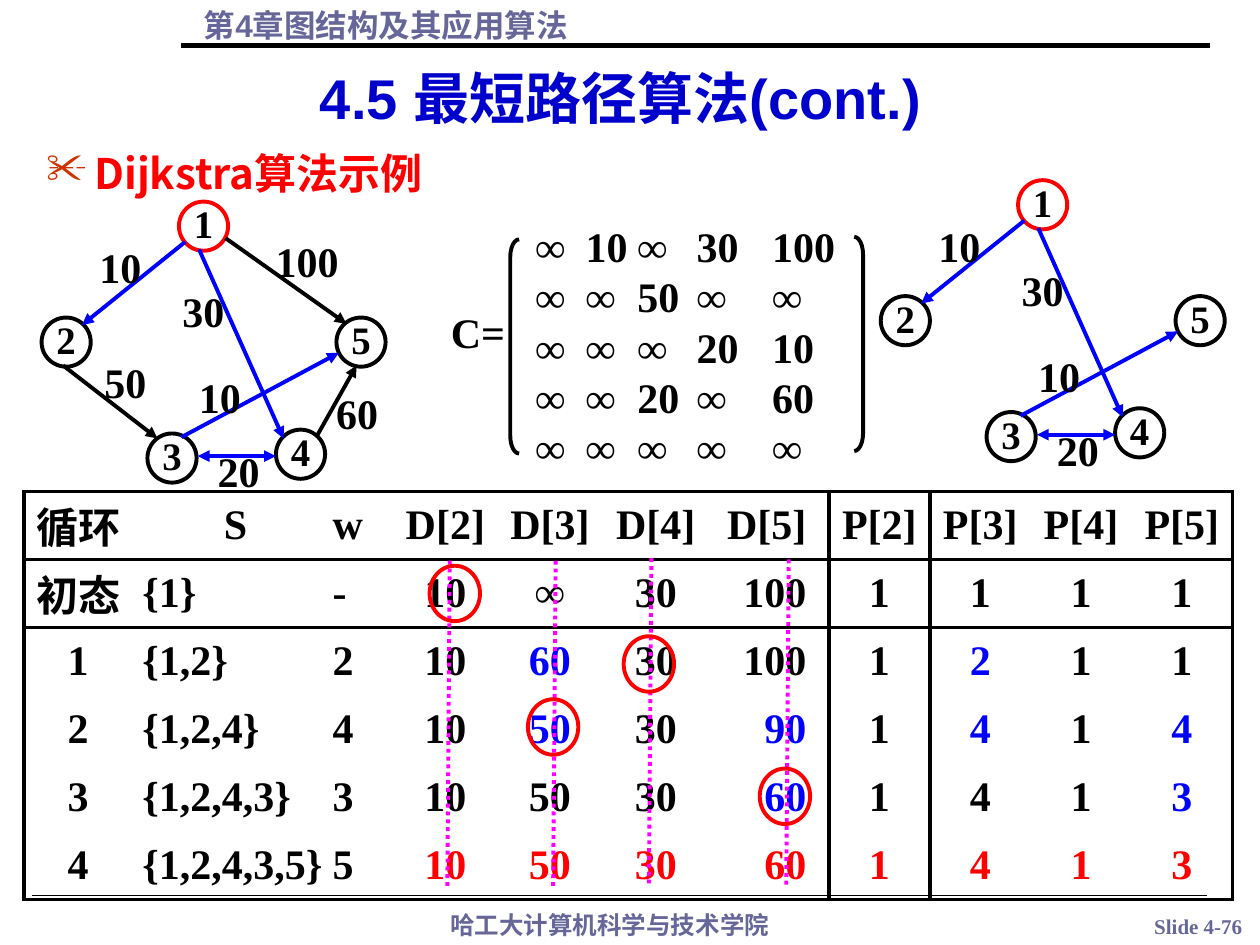
from dataclasses import dataclass

from lxml.etree import SubElement
from pptx import Presentation
from pptx.dml.color import RGBColor
from pptx.enum.dml import MSO_LINE
from pptx.enum.shapes import MSO_CONNECTOR, MSO_SHAPE
from pptx.enum.text import MSO_ANCHOR, PP_ALIGN
from pptx.oxml.ns import qn
from pptx.util import Inches, Pt

BLACK = RGBColor(0x00, 0x00, 0x00)
RED = RGBColor(0xFF, 0x00, 0x00)
BLUE = RGBColor(0x00, 0x00, 0xFF)
TITLE_BLUE = RGBColor(0x00, 0x00, 0xCC)
MAGENTA = RGBColor(0xFF, 0x00, 0xFF)
SLATE = RGBColor(0x66, 0x66, 0x99)
SERIF, SANS, CJK = "Times New Roman", "Arial", "Noto Sans CJK SC"
NO_GRID_STYLE = "{2D5ABB26-0587-4C30-8999-92F81FD0307C}"


@dataclass
class Node:
    name: str
    x: float
    y: float
    color: RGBColor = BLACK


@dataclass
class Edge:
    start: tuple[float, float]
    end: tuple[float, float]
    weight: str
    label_at: tuple[float, float]
    color: RGBColor = BLACK
    both_ways: bool = False


NODES = [
    Node("1", 1.42, 1.6, RED),
    Node("2", 0.33, 2.52),
    Node("3", 1.17, 3.44),
    Node("4", 2.19, 3.41),
    Node("5", 2.67, 2.52),
]
EDGES = [
    Edge((1.47, 1.92), (0.65, 2.58), "10", (0.69, 1.87), BLUE),
    Edge((1.58, 1.98), (2.25, 3.48), "30", (1.35, 2.22), BLUE),
    Edge((1.57, 3.62), (2.19, 3.62), "20", (1.63, 3.49), BLUE, True),
    Edge((1.44, 3.47), (2.69, 2.8), "10", (1.48, 2.9), BLUE),
    Edge((2.51, 3.47), (2.83, 2.9), "60", (2.57, 3.03)),
    Edge((1.79, 1.89), (2.75, 2.57), "100", (2.09, 1.82)),
    Edge((0.5, 2.9), (1.25, 3.48), "50", (0.73, 2.78)),
]
COSTS = ["∞ 10 ∞ 30 100", "∞ ∞ 50 ∞ ∞", "∞ ∞ ∞ 20 10", "∞ ∞ 20 ∞ 60", "∞ ∞ ∞ ∞ ∞"]
COST_TABS = [0.4, 0.81, 1.28, 1.88]
STEPS = [
    "循环 S w D[2] D[3] D[4] D[5] P[2] P[3] P[4] P[5]",
    "初态 {1} - 10 ∞ 30 100 1 1 1 1",
    "1 {1,2} 2 10 60 30 100 1 2 1 1",
    "2 {1,2,4} 4 10 50 30 90 1 4 1 4",
    "3 {1,2,4,3} 3 10 50 30 60 1 4 1 3",
    "4 {1,2,4,3,5} 5 10 50 30 60 1 4 1 3",
]
COL_WIDTHS = [0.86, 1.56, 0.51, 0.83, 0.83, 0.85, 0.95] + [0.8] * 4
ROW_HEIGHT = 0.54
UPDATED = {(2, 4), (2, 8), (3, 4), (3, 6), (3, 8), (3, 10), (4, 6), (4, 10)}
GUIDES = [(3.57, 4.45, 7.06), (4.41, 4.45, 7.06), (5.17, 4.43, 7.03), (6.26, 4.44, 7.05)]
MINIMA = [(3.41, 4.49), (4.95, 5.05), (4.19, 5.55), (6.03, 6.1)]


def set_font(p, size: float, color: RGBColor, name: str = SERIF) -> None:
    p.font.size, p.font.bold, p.font.name = Pt(size), True, name
    p.font.color.rgb = color
    if name == CJK:
        SubElement(p._p.pPr.find(qn("a:defRPr")), qn("a:ea"), typeface=name)


def add_text(slide, x: float, y: float, w: float, h: float, text: str, size: float = 24,
             color: RGBColor = BLACK, name: str = SERIF, align=PP_ALIGN.LEFT, wrap: bool = False):
    tf = slide.shapes.add_textbox(Inches(x), Inches(y), Inches(w), Inches(h)).text_frame
    tf.word_wrap = wrap
    p = tf.paragraphs[0]
    p.text, p.alignment = text, align
    set_font(p, size, color, name)
    return tf


def add_line(slide, start: tuple[float, float], end: tuple[float, float],
             color: RGBColor = BLACK, width: float = 2.25, ends: tuple[str, ...] = ()):
    """Draw a line; ends lists the arrowhead tags to add, headEnd first."""
    line = slide.shapes.add_connector(MSO_CONNECTOR.STRAIGHT, *map(Inches, start + end))
    line.line.color.rgb, line.line.width = color, Pt(width)
    for tag in ends:
        SubElement(line.line._get_or_add_ln(), qn(f"a:{tag}"), type="triangle")
    SubElement(line._element.spPr, qn("a:effectLst"))
    return line


def add_outline(slide, kind, x: float, y: float, w: float, h: float, color: RGBColor = BLACK):
    sp = slide.shapes.add_shape(kind, Inches(x), Inches(y), Inches(w), Inches(h))
    sp.shadow.inherit = False
    sp.fill.background()
    sp.line.color.rgb, sp.line.width = color, Pt(2.25)
    return sp


def add_graph(slide, edges: list[Edge], dx: float = 0, dy: float = 0) -> None:
    for node in NODES:
        sp = add_outline(slide, MSO_SHAPE.OVAL, node.x + dx, node.y + dy, 0.39, 0.39, node.color)
        tf = sp.text_frame
        tf.margin_left = tf.margin_right = tf.margin_top = tf.margin_bottom = 0
        tf.vertical_anchor, tf.word_wrap = MSO_ANCHOR.MIDDLE, False
        p = tf.paragraphs[0]
        p.text, p.alignment, p.line_spacing = node.name, PP_ALIGN.CENTER, 0.9
        set_font(p, 22.2, BLACK)
    for edge in edges:
        (x1, y1), (x2, y2), (lx, ly) = edge.start, edge.end, edge.label_at
        ends = ("headEnd", "tailEnd") if edge.both_ways else ("tailEnd",)
        add_line(slide, (x1 + dx, y1 + dy), (x2 + dx, y2 + dy), edge.color, ends=ends)
        add_text(slide, lx + dx, ly + dy, 0.7 if len(edge.weight) > 2 else 0.53, 0.5, edge.weight)


def add_cost_matrix(slide) -> None:
    add_text(slide, 3.48, 2.38, 0.63, 0.5, "C=")
    tf = add_text(slide, 4.15, 1.7, 2.59, 2.1, "")
    for i, row in enumerate(COSTS):
        p = tf.add_paragraph() if i else tf.paragraphs[0]
        p.text = row.replace(" ", "\t")
        tabs = p._p.get_or_add_pPr()
        tab_list = SubElement(tabs, qn("a:tabLst"))
        tabs.insert(0, tab_list)
        for pos in COST_TABS:
            SubElement(tab_list, qn("a:tab"), pos=str(Inches(pos)), algn="l")
        set_font(p, 24, BLACK)
    for kind, x, y in ((MSO_SHAPE.LEFT_BRACKET, 4.05, 1.9), (MSO_SHAPE.RIGHT_BRACKET, 6.78, 1.88)):
        add_outline(slide, kind, x, y, 0.07, 1.7).adjustments[0] = 2


def set_borders(cell, row: int, col: int) -> None:
    """Rule the outer frame, the header's foot and the divide between D and P."""
    tc_pr = cell._tc.get_or_add_tcPr()
    sides = {"lnL": col in (0, 7), "lnR": col in (6, 10),
             "lnT": row in (0, 1), "lnB": row in (0, len(STEPS) - 1)}
    for tag in [tag for tag, ruled in sides.items() if ruled]:
        ln = SubElement(tc_pr, qn(f"a:{tag}"), w=str(Pt(2.25)))
        fill = SubElement(ln, qn("a:solidFill"))
        SubElement(fill, qn("a:srgbClr"), val=str(BLACK))
    cell.fill.background()


def cell_align(row: int, col: int):
    if col == 2 or (col == 1 and row):
        return PP_ALIGN.LEFT
    return PP_ALIGN.RIGHT if col == 6 else PP_ALIGN.CENTER


def add_step_table(slide) -> None:
    frame = slide.shapes.add_table(len(STEPS), len(COL_WIDTHS), Inches(0.19), Inches(3.9),
                                   Inches(sum(COL_WIDTHS)), Inches(ROW_HEIGHT * len(STEPS)))
    table = frame.table
    table.first_row = table.horz_banding = False
    table._tbl.tblPr.find(qn("a:tableStyleId")).text = NO_GRID_STYLE
    for column, width in zip(table.columns, COL_WIDTHS):
        column.width = Inches(width)
    for r, step in enumerate(STEPS):
        table.rows[r].height = Inches(ROW_HEIGHT)
        for c, text in enumerate(step.split()):
            cell = table.cell(r, c)
            cell.margin_top = cell.margin_bottom = 0
            cell.margin_left = Inches({1: 0.08, 2: 0.03}.get(c, 0))
            cell.margin_right = Inches(0.18 if c == 6 else 0)
            cell.vertical_anchor = MSO_ANCHOR.MIDDLE
            p = cell.text_frame.paragraphs[0]
            p.text, p.alignment = text, cell_align(r, c)
            final = r == len(STEPS) - 1 and c > 2
            set_font(p, 24, RED if final else BLUE if (r, c) in UPDATED else BLACK)
            set_borders(cell, r, c)


def add_headings(slide) -> None:
    add_text(slide, 1.52, 0, 8.03, 0.4, "第4章图结构及其应用算法", 18, SLATE, SANS, wrap=True)
    add_line(slide, (1.44, 0.36), (9.6, 0.36), width=3)
    add_line(slide, (0.25, 7.11), (9.58, 7.11), width=0.75)
    add_text(slide, 3.04, 7.17, 3.6, 0.34, "哈工大计算机科学与技术学院", 14, SLATE, CJK,
             PP_ALIGN.CENTER, True)
    add_text(slide, 8.77, 7.2, 1.48, 0.3, "Slide 4-76", 12, SLATE, align=PP_ALIGN.CENTER)
    tf = add_text(slide, 1.36, 0.42, 7.13, 0.67, "4.5 最短路径算法(cont.)", 32, TITLE_BLUE, SANS,
                  PP_ALIGN.CENTER, True)
    tf.vertical_anchor = MSO_ANCHOR.BOTTOM
    tf = add_text(slide, 0.27, 1.12, 9.52, 0.58, "", wrap=True)
    p = tf.paragraphs[0]
    p.text = "Dijkstra算法示例"
    p_pr = p._p.get_or_add_pPr()
    p_pr.set("marL", str(Inches(0.38)))
    p_pr.set("indent", str(-Inches(0.38)))
    bullet_color = SubElement(p_pr, qn("a:buClr"))
    SubElement(bullet_color, qn("a:srgbClr"), val="CC3300")
    bullet = SubElement(p_pr, qn("a:buChar"), char="✂")
    p_pr.insert(0, bullet)
    p_pr.insert(0, bullet_color)
    set_font(p, 24, RED, CJK)


def main() -> None:
    prs = Presentation()
    prs.slide_width, prs.slide_height = Inches(10), Inches(7.5)
    slide = prs.slides.add_slide(prs.slide_layouts[6])
    add_headings(slide)
    add_graph(slide, EDGES)
    add_cost_matrix(slide)
    add_step_table(slide)
    for x, top, bottom in GUIDES:
        add_line(slide, (x, top), (x - 0.02, bottom), MAGENTA).line.dash_style = MSO_LINE.ROUND_DOT
    for x, y in MINIMA:
        add_outline(slide, MSO_SHAPE.OVAL, x, y, 0.4, 0.44, RED)
    add_graph(slide, [edge for edge in EDGES if edge.color == BLUE], 6.66, -0.17)
    prs.save("out.pptx")


if __name__ == "__main__":
    main()
